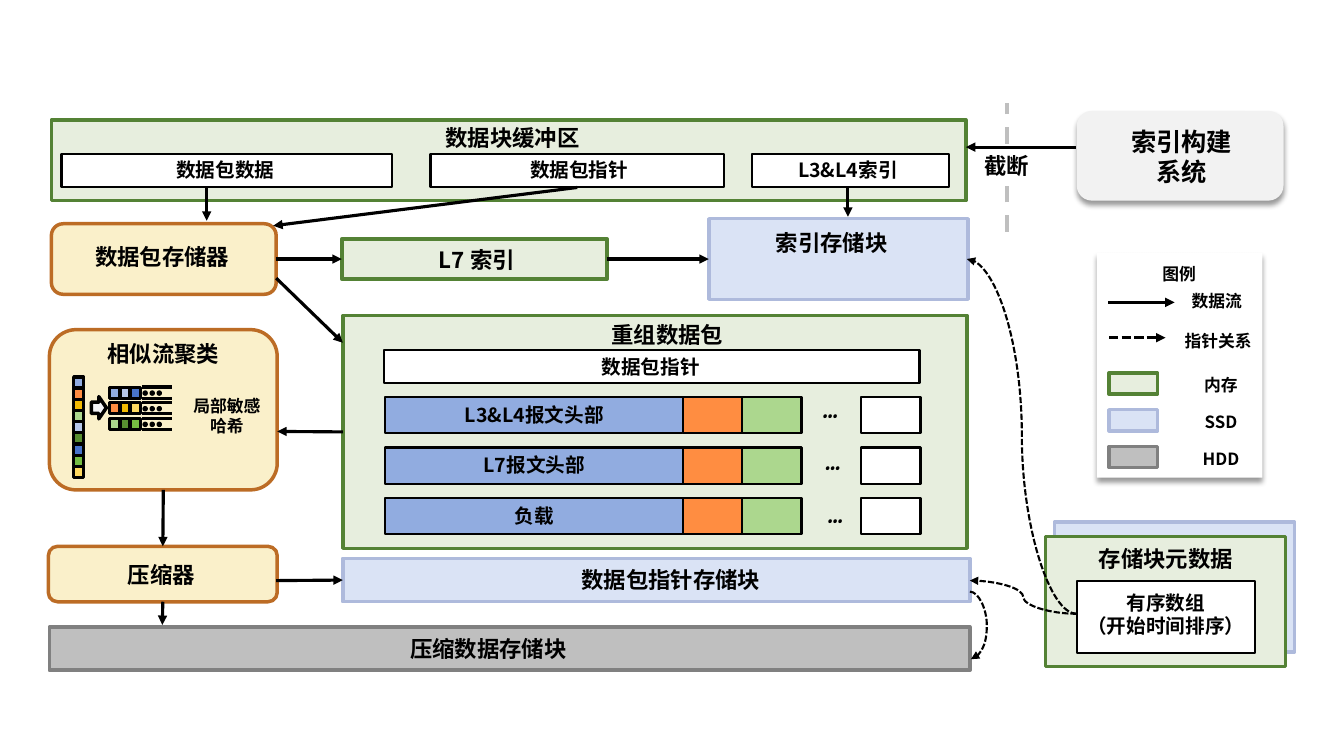
from lxml.etree import SubElement
from pptx import Presentation
from pptx.dml.color import RGBColor
from pptx.enum.dml import MSO_LINE as Dash
from pptx.enum.shapes import MSO_CONNECTOR as Link, MSO_SHAPE as Form
from pptx.enum.text import PP_ALIGN as Align
from pptx.oxml.ns import qn
from pptx.util import Inches, Pt

# Fill and border of each kind of storage or process
MEMORY = ("E7EEDE", "548235", 2.5)
SSD = ("DAE3F5", "AEBADC", 2.5)
HDD = ("BFBFBF", "808080", 2.5)
PROCESS = ("FAF0CA", "BC6C25", 2.5)
FIELD = ("FFFFFF", "000000", 1.5)
PLAIN = ("FFFFFF", None, 0)
TOP, LEFT, BOTTOM, RIGHT = range(4)


def colour(value):
    return RGBColor.from_string(value)


class Diagram:
    """Draws on a grid whose columns and rows are a tenth of an inch."""
    font = "Noto Sans CJK SC"
    ink = "000000"

    def __init__(self, slide):
        self.slide = slide

    def cells(self, *lengths):
        return [Inches(length / 10) for length in lengths]

    def box(self, x, y, width, height, style, form=Form.RECTANGLE, raised=False):
        fill, border, weight = style
        shape = self.slide.shapes.add_shape(form, *self.cells(x, y, width, height))
        shape.fill.solid()
        shape.fill.fore_color.rgb = colour(fill)
        if border:
            shape.line.color.rgb = colour(border)
            shape.line.width = Pt(weight)
        else:
            shape.line.fill.background()
        shape.shadow.inherit = False
        if raised:
            effects = shape.element.spPr.find(qn("a:effectLst"))
            shadow = SubElement(effects, qn("a:outerShdw"), blurRad=str(Pt(4)),
                                dist=str(Pt(3)), dir="5400000", rotWithShape="0")
            black = SubElement(shadow, qn("a:srgbClr"), val=self.ink)
            SubElement(black, qn("a:alpha"), val="40000")
        return shape

    def label(self, x, y, width, height, text, size=16, align=Align.CENTER):
        shape = self.slide.shapes.add_textbox(*self.cells(x, y, width, height))
        frame = shape.text_frame
        frame.word_wrap = True
        frame.text = text
        for paragraph in frame.paragraphs:
            paragraph.alignment = align
            paragraph.line_spacing = Pt(round(size * 1.19, 1))
            for run in paragraph.runs:
                self.format(run, self.font, size)
                SubElement(run.font._element, qn("a:ea"), typeface=self.font)

    def ellipsis(self, x, y):
        shape = self.slide.shapes.add_textbox(*self.cells(x, y, 4.5, 5.5))
        shape.text_frame.word_wrap = True
        shape.text_frame.text = "..."
        run = shape.text_frame.paragraphs[0].runs[0]
        self.format(run, "Cambria", 18)
        run.font.italic = True

    def format(self, run, font, size):
        run.font.name = font
        run.font.size = Pt(size)
        run.font.bold = True
        run.font.color.rgb = colour(self.ink)

    def line(self, x1, y1, x2, y2, line_colour=ink, weight=2.25, dash=None,
             arrow=False, link=Link.STRAIGHT, begin=None, end=None):
        connector = self.slide.shapes.add_connector(link, *self.cells(x1, y1, x2, y2))
        connector.line.color.rgb = colour(line_colour)
        connector.line.width = Pt(weight)
        if dash:
            connector.line.dash_style = dash
        properties = connector.element.spPr
        if arrow:
            SubElement(properties.find(qn("a:ln")), qn("a:tailEnd"), type="triangle")
        SubElement(properties, qn("a:effectLst"))
        if begin:
            connector.begin_connect(*begin)
        if end:
            connector.end_connect(*end)
        return connector

    def arrow(self, *ends, **options):
        return self.line(*ends, arrow=True, **options)

    def pointer(self, *ends, bend=0.5):
        curve = self.arrow(*ends, weight=1.5, dash=Dash.SQUARE_DOT, link=Link.CURVE)
        geometry = curve.element.spPr.find(qn("a:prstGeom"))
        geometry.set("prst", "curvedConnector3")
        guides = geometry.find(qn("a:avLst"))
        if guides is None:
            guides = SubElement(geometry, qn("a:avLst"))
        SubElement(guides, qn("a:gd"), name="adj1", fmla=f"val {round(bend * 100000)}")


def draw_buffer(diagram):
    # Truncation mark
    diagram.line(99.9, 23, 99.9, 10.2, line_colour="BFBFBF", weight=3, dash=Dash.DASH)
    diagram.box(95.8, 14.6, 8.1, 3.7, PLAIN)
    diagram.label(95.8, 14.6, 8.1, 3.7, "截断")
    # Block buffer and its fields
    diagram.box(5.1, 11.9, 90.7, 8, MEMORY)
    diagram.box(6.1, 15.3, 32.8, 3.3, FIELD)
    pointers = diagram.box(42.7, 15.3, 29.1, 3.3, FIELD)
    diagram.box(74.6, 15.3, 19.5, 3.3, FIELD)
    for x, width, text in ((8.3, 28.1, "数据包数据"), (43.4, 28.1, "数据包指针"),
                           (76.4, 15.4, "L3&L4索引")):
        diagram.label(x, 15.2, width, 3.1, text, 14)
    diagram.label(36.8, 11.8, 28.1, 3.1, "数据块缓冲区")
    # Packet store, L7 index and index blocks
    store = diagram.box(5.1, 22.2, 22.3, 7, PROCESS, Form.ROUNDED_RECTANGLE)
    diagram.label(5.6, 23.7, 21, 4, "数据包存储器")
    diagram.arrow(20.5, 18.6, 20.5, 21.9)
    diagram.arrow(57.2, 18.6, 27.1, 22.4, begin=(pointers, BOTTOM))
    blocks = diagram.box(70.3, 21.7, 25.7, 8, SSD)
    diagram.label(74.8, 22.3, 15.4, 3.7, "索引存储块")
    diagram.arrow(84.1, 18.5, 84.1, 21.5)
    index = diagram.box(33.9, 23.7, 26.3, 4, MEMORY)
    diagram.label(36.8, 24, 21, 3, "L7 索引")
    diagram.arrow(27.4, 25.7, 33.9, 25.7, begin=(store, RIGHT), end=(index, LEFT))
    diagram.arrow(60.2, 25.7, 70.3, 25.7, begin=(index, RIGHT), end=(blocks, LEFT))


def draw_packets(diagram):
    packets = diagram.box(34, 31.3, 61.9, 23.1, MEMORY)
    diagram.label(42, 31.4, 48.4, 3.3, "重组数据包")
    diagram.box(38.1, 34.7, 53.1, 3.3, FIELD)
    diagram.label(52.2, 34.7, 24.7, 2.9, "数据包指针", 14)
    for row, text in enumerate(("L3&L4报文头部", "L7报文头部", "负载")):
        y = 39.4 + 5 * row
        for x, width, fill in ((38.2, 29.6, "91ACE0"), (67.7, 5.9, "FF8D41"),
                               (73.6, 5.9, "ACD78E"), (85.4, 5.9, "FFFFFF")):
            diagram.box(x, y, width, 3.6, (fill, "000000", 1.5))
        diagram.label(37.9, y + 0.1, 30.2, 2.9, text, 14)
        diagram.ellipsis(80.7 + 0.25 * row, 38.5 + 5.2 * row)
    diagram.arrow(27.4, 27.6, 34, 34)
    return packets


def draw_clustering(diagram):
    cluster = diagram.box(4.9, 32.7, 22.6, 15.9, PROCESS, Form.ROUNDED_RECTANGLE)
    diagram.label(4.3, 33.3, 23.8, 3.7, "相似流聚类")
    # Clustered flows
    flows = (("91ACE0", "B6C7EA", "4874CB"), ("FF8D41", "F2BA02", "FED961"),
             ("ACD78E", "588E31", "75BD42"))
    for row, fills in enumerate(flows):
        y = 38.4 + 1.55 * row
        for column, fill in enumerate(fills):
            diagram.box(10.9 + column, y, 1, 1.1, (fill, "000000", 2.25))
            diagram.box(14.2 + 0.7 * column, y + 0.4, 0.4, 0.4,
                        ("000000", "000000", 1), Form.OVAL)
        for edge in (y, y + 1.1):
            diagram.line(14.1, edge, 17.1, edge)
    # Incoming flows
    mixed = ("91ACE0", "FF8D41", "F2BA02", "ACD78E", "B6C7EA",
             "588E31", "4874CB", "75BD42", "FED961")
    for row, fill in enumerate(mixed):
        diagram.box(7.3, 37.4 + 1.11 * row, 1, 1.1, (fill, "000000", 2.25))
    hollow = diagram.box(8.7, 39.7, 2.2, 1.5, ("F1F2F6", "000000", 2.5), Form.DOWN_ARROW)
    hollow.rotation = 270
    diagram.label(17.9, 38.8, 9.2, 6.4, "局部敏感哈希", 12)
    return cluster


def draw_compression(diagram, packets, cluster):
    diagram.arrow(34, 42.8, 27.5, 42.8, begin=(packets, LEFT))
    compressor = diagram.box(4.8, 54.2, 22.7, 5.5, PROCESS, Form.ROUNDED_RECTANGLE)
    diagram.label(6.1, 55.2, 19.8, 3.7, "压缩器")
    diagram.arrow(16.2, 48.6, 16.2, 54.2, begin=(cluster, BOTTOM), end=(compressor, TOP))
    pointer_store = diagram.box(34, 55.4, 62.2, 4.3, SSD)
    diagram.label(48.7, 55.7, 35.7, 3.7, "数据包指针存储块")
    diagram.box(4.9, 62.2, 91.3, 4.3, HDD)
    diagram.label(28.7, 62.5, 39.5, 3.7, "压缩数据存储块")
    diagram.arrow(27.4, 57.6, 34, 57.6, end=(pointer_store, LEFT))
    diagram.arrow(16.1, 59.8, 16.1, 62, begin=(compressor, BOTTOM))


def draw_metadata(diagram):
    diagram.box(104.6, 51.8, 23.8, 12.9, SSD)
    diagram.box(103.7, 53.2, 23.8, 12.9, MEMORY)
    diagram.label(106.8, 53.6, 17.7, 3.3, "存储块元数据")
    diagram.box(106.8, 57.6, 17.7, 7.2, FIELD)
    diagram.label(106.8, 58.1, 17.7, 5.5, "有序数组\n（开始时间排序）", 14)
    diagram.pointer(106.8, 60.9, 95.9, 25.7)
    diagram.pointer(106.8, 60.9, 96.2, 57.6)
    diagram.pointer(96.2, 58.7, 96.3, 65.4, bend=17)


def draw_legend(diagram):
    # Index building system
    diagram.box(106.8, 11, 20.5, 8.9, ("F2F2F2", None, 0), Form.ROUNDED_RECTANGLE, True)
    diagram.label(110.3, 12.1, 13.8, 7.1, "索引构建系统", 18)
    diagram.arrow(106.7, 14.6, 95.8, 14.6)
    # Legend
    diagram.box(108.8, 25.1, 16.4, 22.3, PLAIN, raised=True)
    diagram.label(114.3, 25.7, 6.6, 3, "图例", 12, Align.LEFT)
    diagram.arrow(109.9, 30, 116.5, 30)
    diagram.label(117.2, 28.4, 8, 2.7, "数据流", 12, Align.LEFT)
    diagram.arrow(110, 33.5, 115.6, 33.5, dash=Dash.SQUARE_DOT)
    diagram.label(116.5, 32.3, 9, 2.7, "指针关系", 12, Align.LEFT)
    for row, (text, style) in enumerate((("内存", MEMORY), ("SSD", SSD), ("HDD", HDD))):
        y = 37 + 3.65 * row
        diagram.box(110, y, 4.8, 2.1, style)
        diagram.label(117.1, y - 0.3, 8, 2.7, text, 12)


def main():
    presentation = Presentation()
    presentation.slide_width, presentation.slide_height = Inches(13.33), Inches(7.5)
    diagram = Diagram(presentation.slides.add_slide(presentation.slide_layouts[6]))
    draw_buffer(diagram)
    packets = draw_packets(diagram)
    cluster = draw_clustering(diagram)
    draw_compression(diagram, packets, cluster)
    draw_metadata(diagram)
    draw_legend(diagram)
    presentation.save("out.pptx")


if __name__ == "__main__":
    main()
